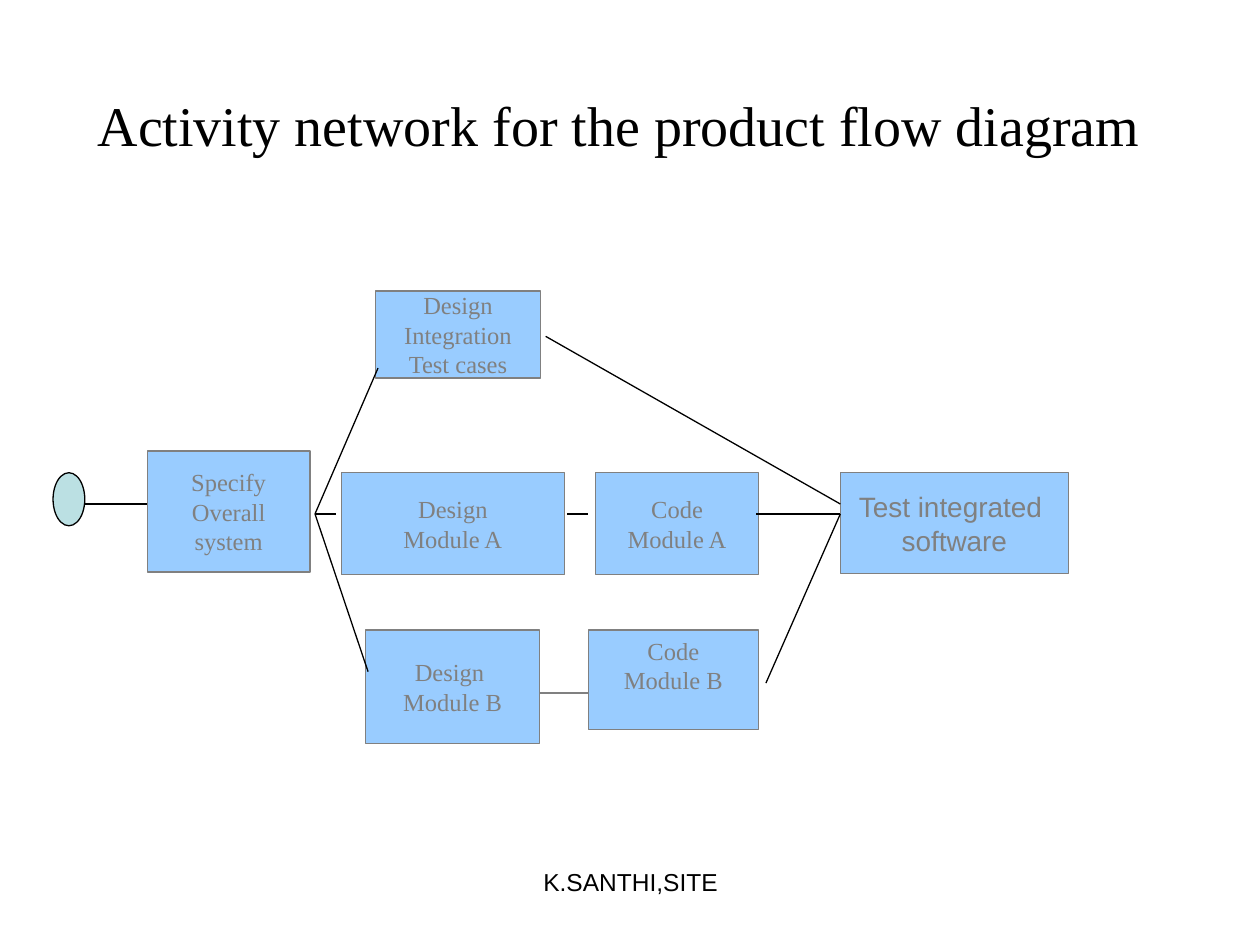
from lxml.etree import SubElement
from pptx import Presentation
from pptx.dml.color import RGBColor
from pptx.enum.shapes import MSO_CONNECTOR, MSO_SHAPE
from pptx.enum.text import MSO_ANCHOR, MSO_AUTO_SIZE, PP_ALIGN
from pptx.oxml.ns import qn
from pptx.util import Cm, Pt

COLORS = {"ink": "000000", "grey": "808080", "activity": "99CCFF", "start": "BBE0E3"}
SERIF, SANS = "Times New Roman", "Arial"


def rgb(color):
    return RGBColor.from_string(COLORS[color])


class NetworkSlide:
    """Holds the slide and its style; all positions are in centimetres."""

    line_width = Pt(0.75)

    def __init__(self, slide):
        self.slide = slide

    def set_text(self, frame, lines, size, font, color, **frame_format):
        settings = {"auto_size": MSO_AUTO_SIZE.NONE, "word_wrap": True,
                    "vertical_anchor": MSO_ANCHOR.MIDDLE, **frame_format}
        for attribute, value in settings.items():
            setattr(frame, attribute, value)
        frame.text = "\n".join(lines)
        for paragraph in frame.paragraphs:
            paragraph.alignment = PP_ALIGN.CENTER
            for run in paragraph.runs:
                for attribute, value in {"size": Pt(size), "name": font}.items():
                    setattr(run.font, attribute, value)
                run.font.color.rgb = rgb(color)

    def title(self, text, place, **frame_format):
        title = self.slide.shapes.title
        edges = zip(("left", "top", "width", "height"), place)
        for attribute, value in edges:
            setattr(title, attribute, Cm(value))
        self.set_text(title.text_frame, [text], 32, SERIF, "ink", **frame_format)

    def footer(self, text, place):
        footer = self.slide.shapes.add_textbox(*map(Cm, place))
        self.set_text(footer.text_frame, [text], 14, SANS, "ink",
                      vertical_anchor=MSO_ANCHOR.TOP)

    def node(self, kind, place, fill, outline):
        node = self.slide.shapes.add_shape(kind, *map(Cm, place))
        node.shadow.inherit = False
        node.fill.solid()
        node.fill.fore_color.rgb = rgb(fill)
        node.line.color.rgb = rgb(outline)
        node.line.width = self.line_width
        return node

    def activity(self, lines, place, size=14, font=SERIF, **frame_format):
        box = self.node(MSO_SHAPE.RECTANGLE, place, "activity", "grey")
        self.set_text(box.text_frame, lines, size, font, "grey",
                      word_wrap=False, **frame_format)

    def link(self, begin, end, color="ink"):
        link = self.slide.shapes.add_connector(
            MSO_CONNECTOR.STRAIGHT, *map(Cm, begin + end))
        link.line.color.rgb = rgb(color)
        link.line.width = self.line_width
        SubElement(link._element.spPr, qn("a:effectLst"))


def main():
    deck = Presentation()
    deck.slide_width, deck.slide_height = Cm(25.4), Cm(19.05)
    network = NetworkSlide(deck.slides.add_slide(deck.slide_layouts[5]))

    network.title("Activity network for the product flow diagram",
                  (1.27, 0.91, 22.86, 3.18), margin_right=Cm(0.69))

    row_a, row_b = 9.53, 12.7
    network.activity(["Specify", "Overall", "system"], (2.97, 9.09, 3.28, 2.44))
    network.activity(["Design", "Module A"], (6.88, row_a, 4.5, 2.06))
    network.activity(["Design", "Integration", "Test cases"], (7.57, 5.87, 3.33, 1.75))
    network.activity(["Design ", "Module B"], (7.37, row_b, 3.51, 2.29))
    network.activity(["Code", "Module A"], (12.01, row_a, 3.28, 2.06))
    network.activity(["Code", "Module B"], (11.86, row_b, 3.43, 2.01),
                     margin_bottom=Cm(0.71))
    network.activity(["Test integrated ", "software"], (16.94, row_a, 4.6, 2.03),
                     size=16, font=SANS)
    network.node(MSO_SHAPE.OVAL, (1.07, row_a, 0.64, 1.07), "start", "ink")

    flow_a, flow_b = 10.36, 13.97
    fork, join = (6.35, flow_a), (16.94, flow_a)
    network.link((10.87, flow_b), (11.86, flow_b), "grey")
    for design_entry in ((6.78, flow_a), (7.62, 7.42), (7.42, 13.54)):
        network.link(fork, design_entry)
    for code_exit in ((15.24, flow_a), (15.44, 13.77)):
        network.link(code_exit, join)
    network.link((1.7, 10.16), (2.97, 10.16))
    network.link((11.43, flow_a), (11.86, flow_a))
    network.link((11, 6.78), (16.94, 10.16))

    network.footer("K.SANTHI,SITE", (8.69, 17.35, 8.05, 1.32))
    deck.save("out.pptx")


if __name__ == "__main__":
    main()
